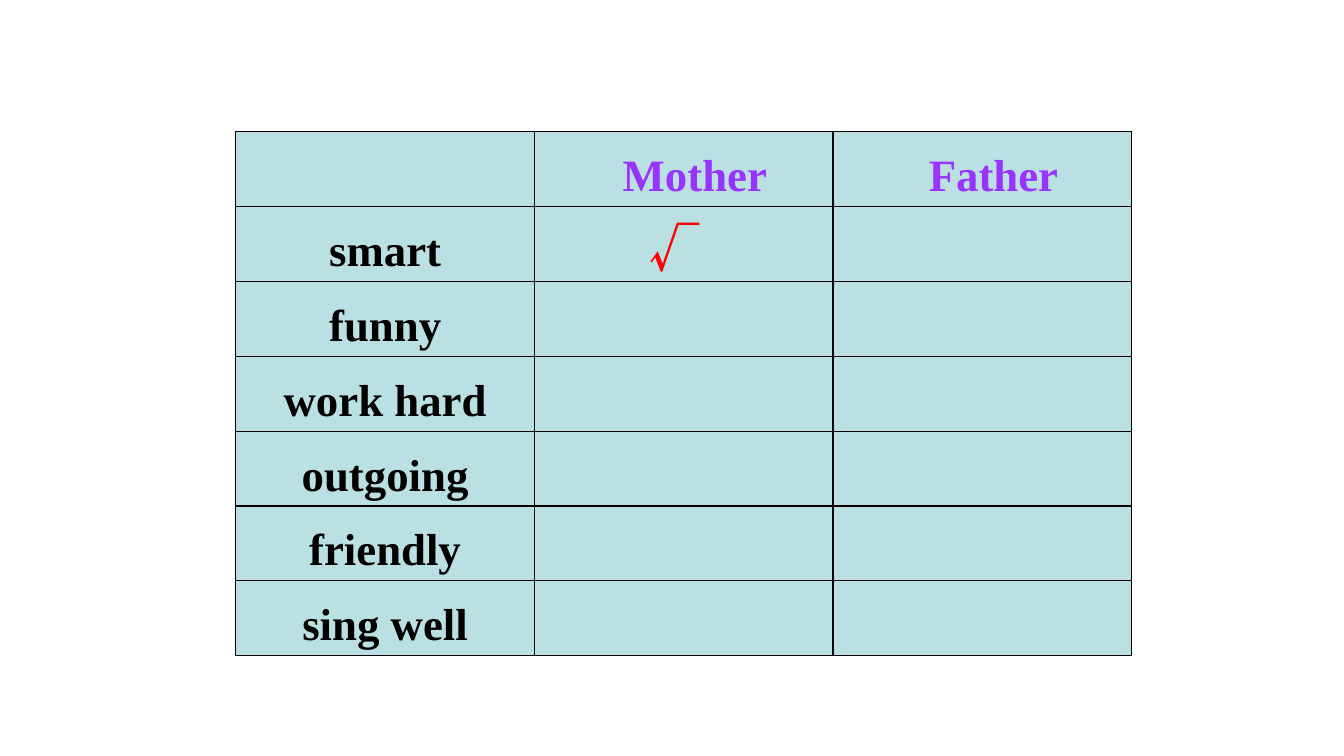
import pptx
import pptx.util
import pptx.dml.color
import pptx.enum.text
import pptx.oxml.ns
import lxml.etree

Pt = pptx.util.Pt
RGBColor = pptx.dml.color.RGBColor
PP_ALIGN = pptx.enum.text.PP_ALIGN
MSO_ANCHOR = pptx.enum.text.MSO_ANCHOR
qn = pptx.oxml.ns.qn

PEOPLE = ["Mother", "Father"]
TRAITS = ["smart", "funny", "work hard", "outgoing", "friendly", "sing well"]
ROWS = [["", *PEOPLE]] + [[trait, "", ""] for trait in TRAITS]
TICK = "√"

PALE_TEAL = RGBColor(0xBB, 0xE0, 0xE3)
PURPLE = RGBColor(0x99, 0x33, 0xFF)
BLACK = RGBColor(0, 0, 0)
RED = RGBColor(0xFF, 0, 0)

LEFT, TOP = 168.5, 94.2
COL_W, ROW_H = 213.3, 53.4
HEADER_INDENT = 23.2


def format_font(font, name, size, color):
    font.name = name
    font.size = Pt(size)
    font.bold = True
    font.color.rgb = color


def add_borders(cell):
    tcPr = cell._tc.get_or_add_tcPr()
    for i, side in enumerate(("a:lnL", "a:lnR", "a:lnT", "a:lnB")):
        ln = lxml.etree.Element(qn(side), w=str(Pt(1)))
        fill = lxml.etree.SubElement(ln, qn("a:solidFill"))
        lxml.etree.SubElement(fill, qn("a:srgbClr"), val=str(BLACK))
        tcPr.insert(i, ln)


def add_trait_table(s):
    shape = s.shapes.add_table(
        len(ROWS), len(ROWS[0]), Pt(LEFT), Pt(TOP),
        Pt(COL_W * len(ROWS[0])), Pt(ROW_H * len(ROWS)))
    table = shape.table
    for col in table.columns:
        col.width = Pt(COL_W)
    for i, values in enumerate(ROWS):
        table.rows[i].height = Pt(ROW_H)
        for j, value in enumerate(values):
            cell = table.cell(i, j)
            cell.fill.solid()
            cell.fill.fore_color.rgb = PALE_TEAL
            add_borders(cell)
            if not value:
                continue
            if i == 0:
                cell.margin_left = Pt(HEADER_INDENT)
            else:
                cell.vertical_anchor = MSO_ANCHOR.MIDDLE
            p = cell.text_frame.paragraphs[0]
            p.text = value
            p.alignment = PP_ALIGN.CENTER
            p.line_spacing = 1.3
            format_font(p.runs[0].font, "Times New Roman", 32,
                        PURPLE if i == 0 else BLACK)


def add_tick(s):
    tf = s.shapes.add_textbox(Pt(457.2), Pt(151.2), Pt(79.2), Pt(51.1)).text_frame
    tf.word_wrap = True
    p = tf.paragraphs[0]
    p.text = TICK
    r = p.runs[0]
    format_font(r.font, "Noto Sans CJK SC", 36, RED)
    lxml.etree.SubElement(r._r.get_or_add_rPr(), qn("a:ea"),
                          typeface="Noto Sans CJK SC")


def main():
    prs = pptx.Presentation()
    prs.slide_width, prs.slide_height = Pt(960), Pt(540)
    s = prs.slides.add_slide(prs.slide_layouts[6])
    add_trait_table(s)
    add_tick(s)
    prs.save("out.pptx")


if __name__ == "__main__":
    main()
